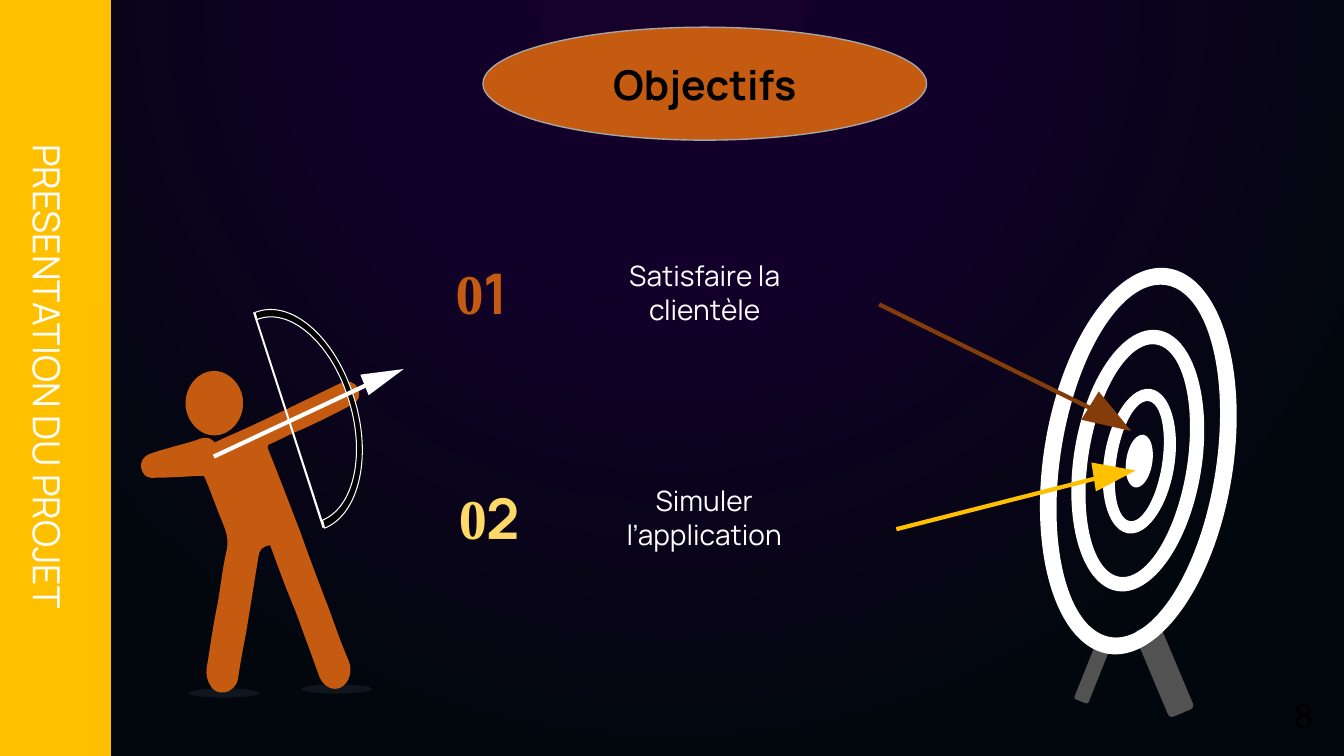
from dataclasses import dataclass

from lxml.etree import SubElement
from pptx import Presentation
from pptx.dml.color import RGBColor
from pptx.enum.shapes import MSO_CONNECTOR, MSO_SHAPE
from pptx.enum.text import MSO_ANCHOR, PP_ALIGN
from pptx.oxml import parse_xml
from pptx.oxml.ns import nsdecls, qn
from pptx.util import Inches, Pt

CELL = Inches(0.01)
COLUMNS, ROWS = 1333, 750
SANS, SERIF = "Manrope", "Times New Roman"
WHITE = RGBColor(0xFF, 0xFF, 0xFF)
BLACK = RGBColor(0, 0, 0)
ORANGE = RGBColor(0xC5, 0x5A, 0x11)
BROWN = RGBColor(0x84, 0x3C, 0x0B)
GOLD = RGBColor(0xFF, 0xC0, 0x00)
PALE_GOLD = RGBColor(0xFF, 0xD9, 0x66)
GREY = RGBColor(0x52, 0x52, 0x52)
SILVER = RGBColor(0xA5, 0xA5, 0xA5)
SLATE = RGBColor(0x44, 0x54, 0x6A)

BODY = [
    (168, 341), (160, 342, 157, 345, 156, 354), (152, 379, 148, 404, 144, 428),
    (141, 444, 138, 459, 136, 474), (135, 480, 129, 486, 123, 487),
    (116, 488, 111, 485, 108, 479), (104, 472, 104, 464, 106, 457),
    (109, 437, 112, 417, 116, 398), (119, 380, 121, 362, 125, 345),
    (127, 335, 124, 327, 121, 319), (115, 305, 110, 290, 104, 276),
    (103, 272, 102, 272, 98, 272), (82, 273, 66, 274, 50, 274),
    (45, 274, 41, 270, 40, 264), (39, 259, 42, 253, 47, 251),
    (54, 248, 62, 246, 69, 244), (79, 241, 89, 239, 99, 235),
    (105, 233, 110, 235, 113, 239), (121, 235, 128, 232, 135, 229),
    (164, 216, 209, 194, 238, 180), (245, 177, 252, 179, 255, 185),
    (258, 192, 256, 199, 248, 202), (237, 208, 209, 222, 197, 227),
    (187, 231, 178, 236, 169, 240), (165, 241, 165, 243, 166, 246),
    (177, 273, 187, 300, 198, 328), (207, 354, 217, 380, 227, 406),
    (233, 423, 239, 440, 246, 456), (250, 466, 246, 478, 238, 482),
    (230, 486, 221, 481, 217, 472), (209, 450, 201, 428, 193, 406),
    (184, 385, 176, 363, 168, 341),
]
HEAD = [
    (141, 201), (141, 217, 128, 232, 113, 232), (97, 232, 84, 217, 84, 200),
    (84, 183, 97, 168, 112, 168), (128, 168, 142, 184, 141, 201),
]
BOW = [
    (153, 110), (155, 117, 155, 117, 155, 117), (187, 104, 228, 140, 245, 194),
    (263, 248, 252, 303, 220, 316), (222, 324, 222, 324, 222, 324),
    (257, 310, 270, 250, 250, 191), (231, 133, 188, 96, 153, 110),
]
BOWSTRING = [(220, 324), (222, 323), (153, 110), (151, 110)]


@dataclass
class Box:
    """A region of the slide, measured in grid columns and rows."""
    left: float
    top: float
    width: float
    height: float

    def area(self, left, top, width, height):
        """Return the slide lengths of a part placed inside the region."""
        return [round(cells * CELL) for cells in
                (self.left + left, self.top + top, width, height)]

    def point(self, column, row):
        """Return the slide position of a grid point inside the region."""
        return self.area(column, row, 0, 0)[:2]


def paint(shape, color, outline=None, weight=1):
    """Give a shape a flat fill and an optional outline."""
    shape.shadow.inherit = False
    shape.fill.solid()
    shape.fill.fore_color.rgb = color
    if outline is None:
        shape.line.fill.background()
    else:
        shape.line.color.rgb = outline
        shape.line.width = Pt(weight)


def add_figure(shapes, kind, area, color, rotation=0, adjust=None):
    """Add a filled preset shape."""
    shape = shapes.add_shape(kind, *area)
    paint(shape, color)
    shape.rotation = rotation
    if adjust is not None:
        shape.adjustments[0] = adjust
    return shape


def add_outline(shapes, box, path, color, outline=None):
    """Add a closed freeform made of points, or of a point and cubic curves."""
    places = [box.point(*part[start:start + 2])
              for part in path for start in range(0, len(part), 2)]
    builder = shapes.build_freeform(*places[0], scale=1.0)
    builder.add_line_segments(places[1:], close=True)
    shape = builder.convert_to_shape()
    paint(shape, color, outline, 0.75)
    if len(path[-1]) == 6:
        lines = list(shape._element.iter(qn("a:lnTo")))
        for first, second, third in zip(lines[::3], lines[1::3], lines[2::3]):
            first.tag = qn("a:cubicBezTo")
            for line in (second, third):
                first.append(line[0])
                line.getparent().remove(line)


def add_arrow(shapes, box, start, end, center, size, rotation, color):
    """Add a line with a triangular tip turned around its center."""
    line = shapes.add_connector(MSO_CONNECTOR.STRAIGHT, *box.point(*start), *box.point(*end))
    line.line.color.rgb = color
    line.line.width = Pt(3)
    SubElement(line._element.spPr, qn("a:effectLst"))
    width, height = size
    tip = box.area(center[0] - width / 2, center[1] - height / 2, width, height)
    add_figure(shapes, MSO_SHAPE.ISOSCELES_TRIANGLE, tip, color, rotation)


def write(shape, text, size, color, fonts=(SANS,), bold=False, anchor=MSO_ANCHOR.TOP):
    """Write one centered paragraph, with one font per letter if several are given."""
    frame = shape.text_frame
    frame.word_wrap = True
    frame.vertical_anchor = anchor
    para = frame.paragraphs[0]
    para.alignment = PP_ALIGN.CENTER
    for part, font in zip([text] if len(fonts) == 1 else text, fonts):
        span = para.add_run()
        span.text = part
        span.font.name = font
        span.font.size = Pt(size)
        span.font.bold = bold
        span.font.color.rgb = color


def draw_background(page):
    """Fill the slide with a round gradient centered above it."""
    stops = "".join(f'<a:gs pos="{place}000"><a:srgbClr val="{color}"/></a:gs>' for place, color in
                    ((0, "16012B"), (35, "12002A"), (100, "02070D")))
    page.background.fill.solid()
    properties = page._element.cSld.find(qn("p:bg")).find(qn("p:bgPr"))
    properties.replace(properties[0], parse_xml(
        f'<a:gradFill {nsdecls("a")} rotWithShape="1"><a:gsLst>{stops}</a:gsLst>'
        '<a:path path="circle"><a:fillToRect l="50000" t="-80000" r="50000" b="180000"/>'
        '</a:path></a:gradFill>'))


def draw_archer(page, box):
    """Draw the archer with his bow, arrow and ground shadows."""
    shapes = page.shapes.add_group_shape().shapes
    for left, top in ((87, 483), (199, 479)):
        ground = add_figure(shapes, MSO_SHAPE.OVAL, box.area(left, top, 70, 9), SLATE)
        tint = ground._element.spPr.find(qn("a:solidFill"))[0]
        SubElement(tint, qn("a:alpha")).set("val", "20000")
    add_outline(shapes, box, BODY, ORANGE)
    add_outline(shapes, box, HEAD, ORANGE)
    add_outline(shapes, box, BOW, BLACK, WHITE)
    add_outline(shapes, box, BOWSTRING, WHITE)
    add_arrow(shapes, box, (112, 253), (287, 171), (281, 174), (22, 42), 68, WHITE)


def draw_target(page, box):
    """Draw the tilted target on its two legs."""
    for area, rotation in (((141, 418, 27, 93), 337.2), ((76, 436, 15, 62), 21.8)):
        add_figure(page.shapes, MSO_SHAPE.ROUNDED_RECTANGLE, box.area(*area), GREY, rotation)
    shapes = page.shapes.add_group_shape().shapes
    for left, top, width, height, band in ((35, 64, 188, 387, 0.089), (65, 126, 127, 262, 0.113),
                                           (95, 185, 70, 145, 0.175), (117, 231, 26, 53, None)):
        kind = MSO_SHAPE.OVAL if band is None else MSO_SHAPE.DONUT
        add_figure(shapes, kind, box.area(left, top, width, height), WHITE, 8.9, band)


def draw_goal(page, box, number, number_area, goal, goal_area, color):
    """Write a numbered goal."""
    number_box, goal_box = (page.shapes.add_textbox(*box.area(left, 0, width, box.height))
                            for left, width in (number_area, goal_area))
    write(number_box, number, 40, color, (SERIF, SANS), True)
    write(goal_box, goal, 20, WHITE)


def draw_shots(page, box):
    """Draw the arrows that lead from the goals to the target."""
    for shot in (((89, 325), (309, 269), (305.5, 270), (29, 42), 81.3, GOLD),
                 ((72, 102), (304, 216), (301.5, 215), (33, 48), 121.7, BROWN)):
        add_arrow(page.shapes.add_group_shape().shapes, box, *shot)


def draw_title(page, box):
    """Draw the title ellipse."""
    title = page.shapes.add_shape(MSO_SHAPE.OVAL, *box.area(0, 0, box.width, box.height))
    paint(title, ORANGE, SILVER)
    write(title, "Objectifs", 29.3, BLACK, bold=True, anchor=MSO_ANCHOR.MIDDLE)


def draw_sidebar(page, box):
    """Draw the section band, turned to run down the left edge."""
    area = box.area((box.width - box.height) / 2, (box.height - box.width) / 2,
                    box.height, box.width)
    band = add_figure(page.shapes, MSO_SHAPE.TRAPEZOID, area, GOLD, 90, 0)
    write(band, "PRESENTATION DU PROJET", 26.7, WHITE, anchor=MSO_ANCHOR.MIDDLE)


def draw_page_number(page, box):
    """Write the page number."""
    number = page.shapes.add_textbox(*box.area(0, 0, box.width, box.height))
    write(number, "8", 24, BLACK, anchor=MSO_ANCHOR.MIDDLE)


def main():
    """Build and save the slide."""
    deck = Presentation()
    deck.slide_width, deck.slide_height = COLUMNS * CELL, ROWS * CELL
    page = deck.slides.add_slide(deck.slide_layouts[6])
    draw_background(page)
    draw_archer(page, Box(100, 200, 300, 500))
    draw_target(page, Box(1000, 200, 260, 520))
    for top, *goal in ((251.5, "01", (-7, 170), "Satisfaire la clientèle", (175, 248), ORANGE),
                       (475, "02", (8, 155), "Simuler l’application", (165, 267), PALE_GOLD)):
        draw_goal(page, Box(400, top, 440, 77), *goal)
    draw_shots(page, Box(800, 200, 330, 340))
    draw_title(page, Box(479, 27, 440, 112))
    draw_sidebar(page, Box(-15.5, -5, 126, 757))
    draw_page_number(page, Box(1268, 684, 50, 50))
    deck.save("out.pptx")


if __name__ == "__main__":
    main()
